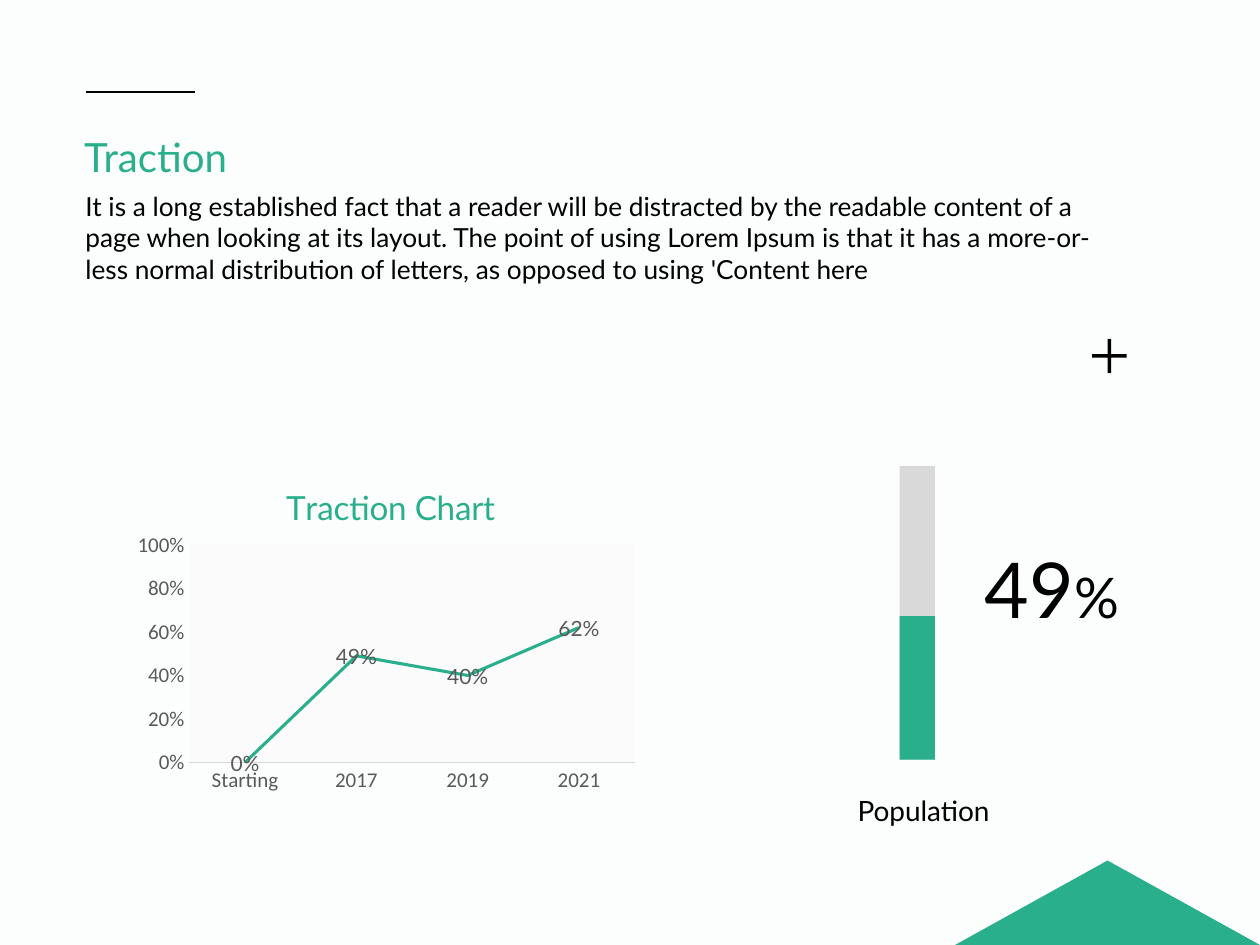
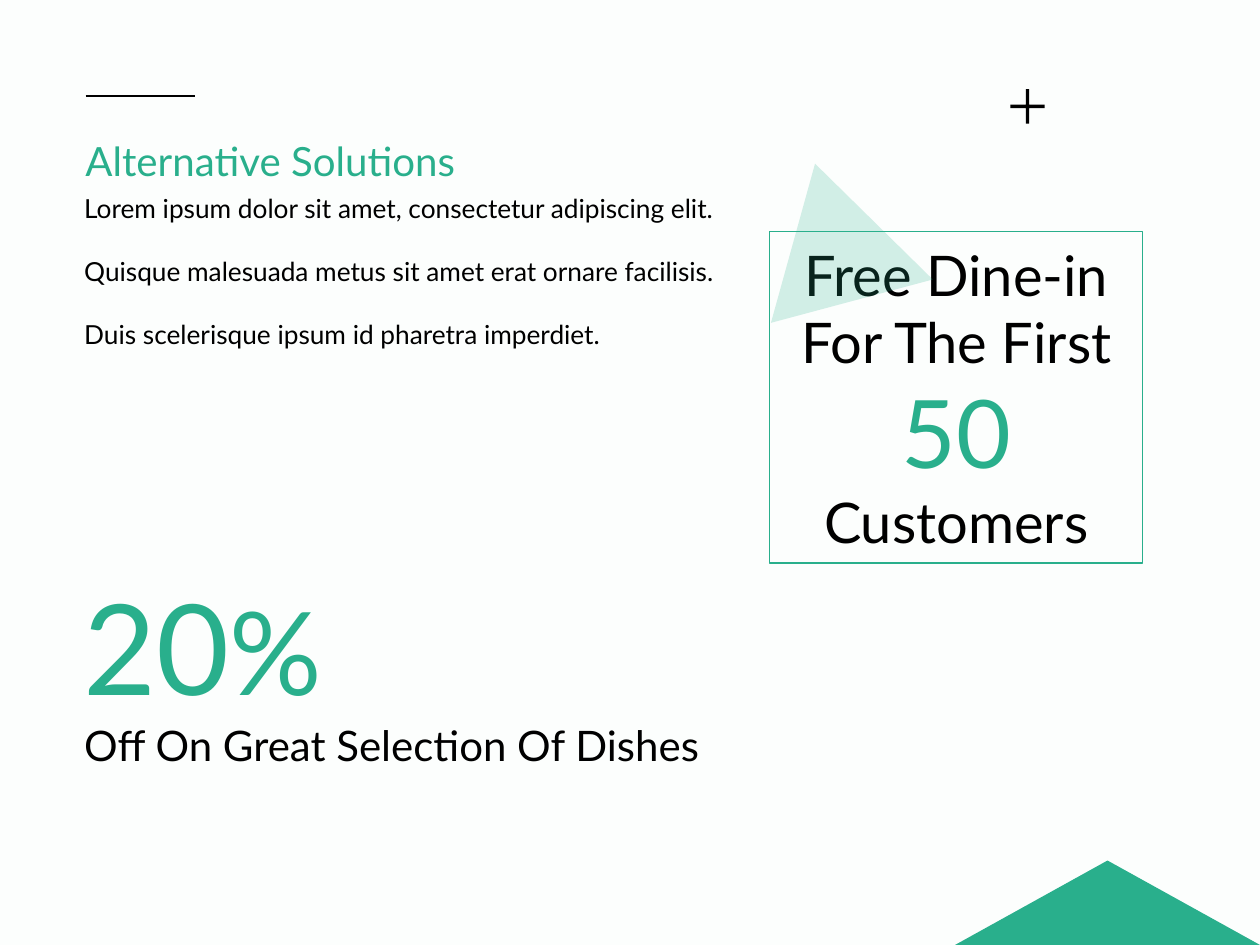
import pptx
import pptx.chart.data
import pptx.dml.color
import pptx.enum.chart
import pptx.enum.shapes
import pptx.enum.text
import pptx.oxml
import pptx.oxml.ns
import pptx.util
from dataclasses import dataclass
from lxml import etree

Inches = pptx.util.Inches
Pt = pptx.util.Pt
qn = pptx.oxml.ns.qn
Shape = pptx.enum.shapes.MSO_SHAPE
Align = pptx.enum.text.PP_ALIGN


@dataclass(frozen=True)
class Theme:
    green: str = "29AF8C"
    ink: str = "000000"
    paper: str = "FCFEFD"
    grey: str = "D9D9D9"
    label: str = "595959"
    plot: str = "FBFBFB"
    font: str = "Lato"
    chart_font: str = "Calibri"
    title: float = 23
    body: float = 15
    caption: float = 16
    offer: float = 24
    headline: float = 32
    chart_title: float = 19
    chart_label: float = 12


THEME = Theme()

# Each text is a list of paragraphs, each paragraph a list of (text, size, colour).
TRACTION = {
    "title": ("Traction", (0.57, 1, 2.3, 0.49)),
    "rule_y": 0.73,
    "plus": (8.62, 2.64),
    "texts": [
        {"at": (0.58, 1.46, 8.24, 0.86), "paragraphs": [[(
            "It is a long established fact that a reader will be distracted by the readable "
            "content of a page when looking at its layout. The point of using Lorem Ipsum is "
            "that it has a more-or-less normal distribution of letters, as opposed to using "
            "'Content here", THEME.body, THEME.ink)]]},
        {"at": (6.64, 6.25, 1.38, 0.37), "align": Align.CENTER,
         "paragraphs": [[("Population", THEME.caption, THEME.ink)]]},
        {"at": (7.66, 4.25, 1.38, 0.84), "align": Align.CENTER,
         "paragraphs": [[("49", 44, THEME.ink), ("%", THEME.headline, THEME.ink)]]},
    ],
}
GROWTH = {
    "title": "Traction Chart",
    "series": "Series 1",
    "values": {"Starting": 0, "2017": 0.49, "2019": 0.4, "2021": 0.62},
    "at": (1.01, 3.6, 4.11, 2.74),
    "title_place": {"x": 0.295, "y": 0.07},
    "plot_place": {"x": 0.12, "y": 0.265, "w": 0.86, "h": 0.63},
}
POPULATION_BAR = {"at": (7.14, 3.7, 0.28, 2.33), "filled": 1.14}

SOLUTIONS = {
    "title": ("Alternative Solutions", (0.58, 1.03, 3.52, 0.49)),
    "rule_y": 0.76,
    "plus": (7.97, 0.66),
    "texts": [
        {"at": (0.57, 1.48, 5.32, 1.36), "gap": 18, "paragraphs": [
            [(sentence, THEME.body, THEME.ink)] for sentence in (
                "Lorem ipsum dolor sit amet, consectetur adipiscing elit.",
                "Quisque malesuada metus sit amet erat ornare facilisis.",
                "Duis scelerisque ipsum id pharetra imperdiet.")]},
        {"at": (0.34, 4.47, 2.54, 1.31), "align": Align.CENTER,
         "paragraphs": [[("20", 72, THEME.green), ("%", 66, THEME.green)]]},
        {"at": (0.57, 5.66, 5.45, 0.5),
         "paragraphs": [[("Off On Great Selection Of Dishes", THEME.offer, THEME.ink)]]},
    ],
}
DINE_IN = {"at": (6.11, 1.84, 2.96, 2.63), "paragraphs": [[
    ("Free Dine-in For The First ", THEME.headline, THEME.ink),
    ("50", 54, THEME.green),
    (" ", 40, THEME.ink),
    ("Customers", THEME.headline, THEME.ink)]]}
TILTED_TRIANGLE = {"at": (5.95, 1.28, 1.33, 1.13), "rotation": 345, "opacity": 20}


def rgb(colour):
    return pptx.dml.color.RGBColor.from_string(colour)


def inches(at):
    return [Inches(length) for length in at]


def paint(fill, colour):
    fill.solid()
    fill.fore_color.rgb = rgb(colour)


def style_font(font, size, colour, name=THEME.font):
    for attribute, value in {"size": Pt(size), "name": name, "bold": False}.items():
        setattr(font, attribute, value)
    font.color.rgb = rgb(colour)


def write(frame, paragraphs, align=Align.LEFT, gap=0):
    frame.word_wrap = True
    frame.auto_size = pptx.enum.text.MSO_AUTO_SIZE.SHAPE_TO_FIT_TEXT
    for index, pieces in enumerate(paragraphs):
        paragraph = frame.add_paragraph() if index else frame.paragraphs[0]
        paragraph.alignment = align
        if index and gap:
            paragraph.space_before = Pt(gap)
        for text, size, colour in pieces:
            run = paragraph.add_run()
            run.text = text
            style_font(run.font, size, colour)


def add_text(slide, at, paragraphs, **layout):
    write(slide.shapes.add_textbox(*inches(at)).text_frame, paragraphs, **layout)


def add_solid(slide, kind, at, colour):
    shape = slide.shapes.add_shape(kind, *inches(at))
    shape.shadow.inherit = False
    paint(shape.fill, colour)
    shape.line.fill.background()
    return shape


def add_frame(slide, content):
    """Add what both slides share: title, rule, plus sign, corner triangle, texts."""
    title, title_at = content["title"]
    add_text(slide, title_at, [[(title, THEME.title, THEME.green)]])
    for text in content["texts"]:
        add_text(slide, **text)
    plus = add_solid(slide, Shape.MATH_PLUS, (*content["plus"], 0.37, 0.37), THEME.ink)
    plus.adjustments[0] = 0.071
    rule_y = Inches(content["rule_y"])
    rule = slide.shapes.add_connector(pptx.enum.shapes.MSO_CONNECTOR.STRAIGHT,
                                      Inches(0.68), rule_y, Inches(1.55), rule_y)
    rule.line.color.rgb = rgb(THEME.ink)
    rule.line.width = Pt(1)
    etree.SubElement(rule._element.spPr, qn("a:effectLst"))
    add_solid(slide, Shape.ISOSCELES_TRIANGLE, (7.58, 6.83, 2.42, 0.67), THEME.green)


def place(element, index, position, inner=False):
    """Give a chart part a manual layout as fractions of the chart."""
    for layout in element.findall(qn("c:layout")):
        element.remove(layout)
    layout = etree.Element(qn("c:layout"))
    manual = etree.SubElement(layout, qn("c:manualLayout"))
    if inner:
        etree.SubElement(manual, qn("c:layoutTarget"), val="inner")
    for side in ("x", "y"):
        etree.SubElement(manual, qn(f"c:{side}Mode"), val="edge")
    for side, fraction in position.items():
        etree.SubElement(manual, qn(f"c:{side}"), val=str(fraction))
    element.insert(index, layout)


def add_growth_chart(slide):
    data = pptx.chart.data.CategoryChartData(number_format="0%")
    data.categories = list(GROWTH["values"])
    data.add_series(GROWTH["series"], list(GROWTH["values"].values()))
    chart = slide.shapes.add_chart(pptx.enum.chart.XL_CHART_TYPE.LINE_STACKED,
                                   *inches(GROWTH["at"]), data).chart
    chart.has_legend = False
    style_font(chart.font, 10, THEME.ink, THEME.chart_font)

    title = chart.chart_title.text_frame
    title.text = GROWTH["title"]
    style_font(title.paragraphs[0].runs[0].font, THEME.chart_title, THEME.green)
    place(chart.chart_title._element, 1, GROWTH["title_place"])

    plot_area = chart._chartSpace.chart.plotArea
    place(plot_area, 0, GROWTH["plot_place"], inner=True)
    plot_area.append(pptx.oxml.parse_xml(
        f'<c:spPr {pptx.oxml.ns.nsdecls("c", "a")}><a:solidFill>'
        f'<a:srgbClr val="{THEME.plot}"/></a:solidFill></c:spPr>'))

    for axis in (chart.category_axis, chart.value_axis):
        axis.has_major_gridlines = False
        axis.major_tick_mark = axis.minor_tick_mark = pptx.enum.chart.XL_TICK_MARK.NONE
        style_font(axis.tick_labels.font, THEME.chart_label, THEME.label, THEME.chart_font)
    chart.category_axis.format.line.color.rgb = rgb(THEME.grey)
    chart.category_axis.format.line.width = Pt(0.75)
    scale = {"minimum_scale": 0, "maximum_scale": 1, "major_unit": 0.2}
    for attribute, value in scale.items():
        setattr(chart.value_axis, attribute, value)
    chart.value_axis.format.line.fill.background()

    plot = chart.plots[0]
    plot.vary_by_categories = False
    series = plot.series[0]
    series.smooth = False
    series.format.line.color.rgb = rgb(THEME.green)
    series.format.line.width = Pt(1.75)
    label_format = {"show_value": True, "number_format": "0%", "number_format_is_linked": False,
                    "position": pptx.enum.chart.XL_LABEL_POSITION.CENTER}
    for attribute, value in label_format.items():
        setattr(series.data_labels, attribute, value)
    style_font(series.data_labels.font, THEME.chart_label, THEME.label)


def add_population_bar(slide):
    left, top, width, height = POPULATION_BAR["at"]
    filled = POPULATION_BAR["filled"]
    add_solid(slide, Shape.RECTANGLE, POPULATION_BAR["at"], THEME.grey)
    add_solid(slide, Shape.RECTANGLE, (left, top + height - filled, width, filled), THEME.green)


def add_dine_in_offer(slide):
    offer = slide.shapes.add_shape(Shape.RECTANGLE, *inches(DINE_IN["at"]))
    offer.shadow.inherit = False
    offer.fill.background()
    offer.line.color.rgb = rgb(THEME.green)
    offer.line.width = Pt(0.75)
    write(offer.text_frame, DINE_IN["paragraphs"], align=Align.CENTER)

    triangle = add_solid(slide, Shape.ISOSCELES_TRIANGLE, TILTED_TRIANGLE["at"], THEME.green)
    triangle.rotation = TILTED_TRIANGLE["rotation"]
    colour = triangle._element.spPr.find(qn("a:solidFill")).find(qn("a:srgbClr"))
    etree.SubElement(colour, qn("a:alpha"), val=str(TILTED_TRIANGLE["opacity"] * 1000))


def main():
    deck = pptx.Presentation()
    deck.slide_width, deck.slide_height = Inches(10), Inches(7.5)
    paint(deck.slide_master.background.fill, THEME.paper)
    for content, parts in ((TRACTION, (add_growth_chart, add_population_bar)),
                           (SOLUTIONS, (add_dine_in_offer,))):
        slide = deck.slides.add_slide(deck.slide_layouts[6])
        add_frame(slide, content)
        for add_part in parts:
            add_part(slide)
    deck.save("out.pptx")


if __name__ == "__main__":
    main()
